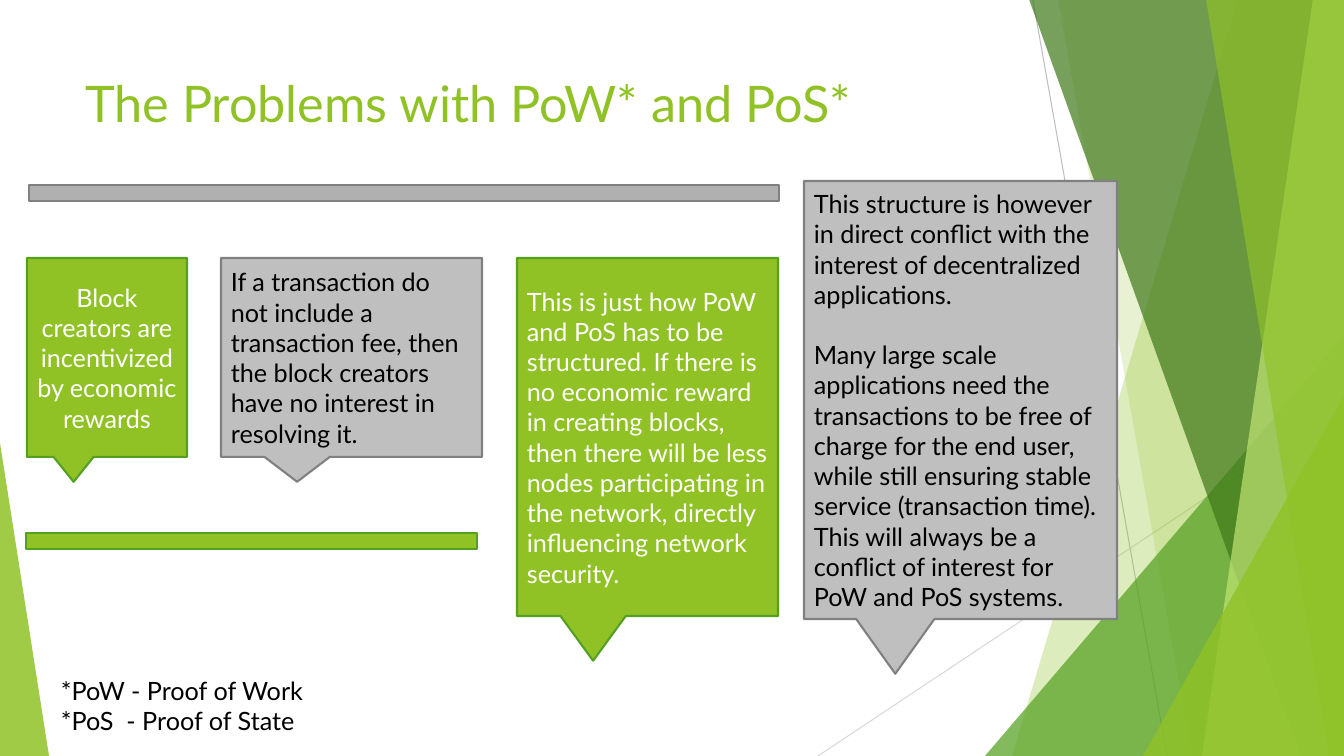
"""Build the slide on the problems with PoW and PoS."""
from lxml import etree
from pptx import Presentation
from pptx import util as u
from pptx.dml.color import RGBColor
from pptx.enum import shapes, text
from pptx.oxml.ns import qn

PX = 914400 / 100.8
WIDE, HIGH = 1344, 756
GREEN, LEAF, GREY, DARK = "90C226", "54A021", "BFBFBF", "808080"
WHITE, BLACK = "FFFFFF", "000000"
KIND = shapes.MSO_SHAPE

RAYS = [
    ("line", (1033, 0, 1167, HIGH), "BFBFBF"),
    ("line", (WIDE, 406, 818, HIGH), "D9D9D9"),
    ("band", (1238, 1012), GREEN, 30),
    ("band", (1058, 1192), GREEN, 20),
    ("peak", (985, 336, 359, 420), LEAF, 72, 1),
    ("band", (1029, 1301), "3F7819", 70),
    ("band", (1313, 1202), "C0E474", 70),
    ("band", (1206, 1329), GREEN, 65),
    ("peak", (1143, 396, 201, 360), GREEN, 80, 1),
    ("peak", (0, 443, 49, 313), GREEN, 85, 0),
]

NOTES = [
    ((27, 258, 160, 199), True, text.PP_ALIGN.CENTER,
     ["Block creators are incentivized by economic rewards"]),
    ((221, 258, 261, 199), False, text.PP_ALIGN.LEFT,
     ["If a transaction do not include a transaction fee, then the block "
      "creators have no interest in resolving it."]),
    ((517, 258, 261, 358), True, text.PP_ALIGN.LEFT,
     ["This is just how PoW and PoS has to be structured. If there is no "
      "economic reward in creating blocks, then there will be less nodes "
      "participating in the network, directly influencing network security."]),
    ((804, 181, 313, 438), False, text.PP_ALIGN.LEFT,
     ["This structure is however in direct conflict with the interest of "
      "decentralized applications.",
      "Many large scale applications need the transactions to be free of "
      "charge for the end user, while still ensuring stable service "
      "(transaction time). This will always be a conflict of interest for "
      "PoW and PoS systems."]),
]


def px(*vals):
    """Turn px lengths into EMU."""
    return [u.Emu(round(v * PX)) for v in vals]


def rgb(code):
    """Turn a hex string into a colour."""
    return RGBColor.from_string(code)


def paint(shape, fill, edge=None, alpha=100):
    """Set fill, outline and opacity, without a shadow."""
    shape.shadow.inherit = False
    shape.fill.solid()
    shape.fill.fore_color.rgb = rgb(fill)
    if alpha < 100:
        tone = shape._element.spPr.find(qn("a:solidFill"))[0]
        etree.SubElement(tone, qn("a:alpha"), val=str(alpha * 1000))
    if edge:
        shape.line.color.rgb = rgb(edge)
        shape.line.width = u.Pt(1.5)
    else:
        shape.line.fill.background()


def write(frame, lines, color, size=18, align=text.PP_ALIGN.LEFT, gap=0):
    """Fill a text frame with one paragraph per line."""
    for i, line in enumerate(lines):
        para = frame.add_paragraph() if i else frame.paragraphs[0]
        para.text = line
        para.alignment = align
        para.space_before = u.Pt(gap if i else 0)
        font = para.font
        font.name, font.size = "Lato", u.Pt(size)
        font.color.rgb = rgb(color)


def line(tree, ends, color):
    """Draw a thin line."""
    rule = tree.add_connector(shapes.MSO_CONNECTOR.STRAIGHT, *px(*ends))
    rule.line.color.rgb = rgb(color)
    rule.line.width = u.Pt(0.75)
    etree.SubElement(rule._element.spPr, qn("a:effectLst"))


def band(tree, left, color, alpha):
    """Draw a full-height band from a slanted left edge to the right side."""
    top, foot = left
    form = tree.build_freeform(top, -1, scale=PX)
    form.add_line_segments([(WIDE, -1), (WIDE, HIGH), (foot, HIGH)])
    paint(form.convert_to_shape(), color, alpha=alpha)


def peak(tree, box, color, alpha, tip):
    """Draw a triangle with its tip at the given share of its width."""
    shape = tree.add_shape(KIND.ISOSCELES_TRIANGLE, *px(*box))
    shape.adjustments[0] = tip
    paint(shape, color, alpha=alpha)


def note(tree, box, green, align, lines):
    """Draw a callout with its text."""
    shape = tree.add_shape(KIND.RECTANGULAR_CALLOUT, *px(*box))
    paint(shape, *((GREEN, LEAF) if green else (GREY, DARK)))
    frame = shape.text_frame
    frame.word_wrap = True
    frame.vertical_anchor = text.MSO_ANCHOR.MIDDLE
    write(frame, lines, WHITE if green else BLACK, align=align, gap=21.6)


def bar(tree, box, fill, edge, thick):
    """Draw a minus sign as a flat bar."""
    shape = tree.add_shape(KIND.MATH_MINUS, *px(*box))
    shape.adjustments[0] = thick
    paint(shape, fill, edge)


def head(shape, box, words):
    """Place and format the title."""
    shape.left, shape.top, shape.width, shape.height = px(*box)
    frame = shape.text_frame
    frame.word_wrap = True
    frame.auto_size = text.MSO_AUTO_SIZE.NONE
    frame.vertical_anchor = text.MSO_ANCHOR.TOP
    write(frame, [words], GREEN, size=36)


def foot(tree, box, lines):
    """Add the footnote."""
    frame = tree.add_textbox(*px(*box)).text_frame
    frame.word_wrap = False
    frame.auto_size = text.MSO_AUTO_SIZE.SHAPE_TO_FIT_TEXT
    write(frame, lines, BLACK)


def main():
    """Build and save the slide."""
    deck = Presentation()
    deck.slide_width, deck.slide_height = px(WIDE, HIGH)
    tree = deck.slides.add_slide(deck.slide_layouts[5]).shapes
    draw = {"line": line, "band": band, "peak": peak}
    for kind, *args in RAYS:
        draw[kind](tree, *args)
    head(tree.title, (75, 67, 947, 146), "The Problems with PoW* and PoS*")
    for args in NOTES:
        note(tree, *args)
    bar(tree, (-55, 507, 613, 68), GREEN, LEAF, 0.24)
    bar(tree, (-106, 170, 1020, 46), "B0B0B0", DARK, 0.36)
    foot(tree, (51, 670, 267, 72),
         ["*PoW - Proof of Work", "*PoS  - Proof of State"])
    deck.save("out.pptx")


if __name__ == "__main__":
    main()
